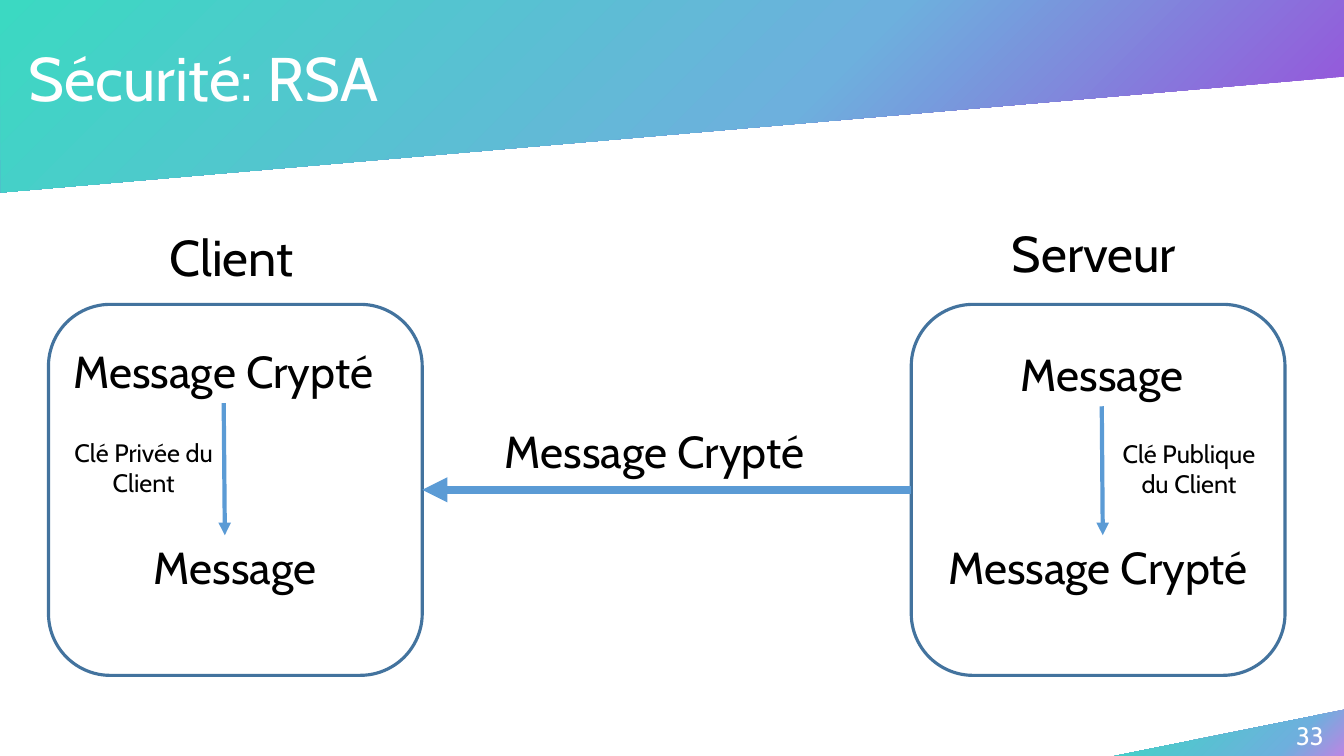
from lxml import etree
from pptx import Presentation
from pptx.dml.color import RGBColor
from pptx.enum.shapes import MSO_CONNECTOR, MSO_SHAPE
from pptx.enum.text import MSO_ANCHOR, MSO_AUTO_SIZE, PP_ALIGN
from pptx.oxml import parse_xml
from pptx.oxml.ns import qn
from pptx.util import Pt

LEFT, CENTER = PP_ALIGN.LEFT, PP_ALIGN.CENTER
MIDDLE = MSO_ANCHOR.MIDDLE
FIT = MSO_AUTO_SIZE.SHAPE_TO_FIT_TEXT
ROUNDED, STRAIGHT = MSO_SHAPE.ROUNDED_RECTANGLE, MSO_CONNECTOR.STRAIGHT
A_NS = "http://schemas.openxmlformats.org/drawingml/2006/main"

# Content: lengths in points
FONT = "Cabin"
BLACK, WHITE, OUTLINE, ARROW = "000000", "FFFFFF", "43739E", "5B9BD5"

BANDS = [  # outline points, gradient stops (percent, colour)
    ([(0, -0.7), (960.5, -0.7), (960, 54.7), (0.7, 137.5)],
     [(0, "3BD9C2"), (59, "6DB0DD"), (94, "9657DB")]),
    ([(796.3, 540), (960.5, 540), (960.5, 506.9)],
     [(0, "3BD9C2"), (75, "6DB0DD"), (100, "BD85E3")]),
]

TITLE = ("Sécurité: RSA", 13, 5.8, 828, 104.4)
PANEL_TOP, PANEL_W, PANEL_H = 217.4, 267, 265
CLIENT_X, SERVER_X = 34.6, 650.9

LABELS = [  # text, left, top, width, height, size, alignment, wrap
    ("Client", 113.8, 157.7, 108.7, 51, 36, LEFT, False),
    ("Serveur", 715.7, 154.8, 137.5, 51, 36, LEFT, False),
    ("Message Crypté", 18, 241.9, 283, 46, 32, CENTER, True),
    ("Message", 46, 382.3, 244, 46, 32, CENTER, True),
    ("Message", 665.3, 244.1, 244, 46, 32, CENTER, True),
    ("Message Crypté", SERVER_X, 382.3, PANEL_W, 46, 32, CENTER, True),
    ("Message Crypté", 353.5, 298.8, 244, 46, 32, LEFT, True),
    ("Clé Privée du Client", 40.3, 308.9, 124.6, 51, 18, CENTER, True),
    ("Clé Publique du Client", 787, 309.6, 124.6, 51, 18, CENTER, True),
]
PAGE_NUMBER = ("33", 918.7, 511.2, 38.2, 28.8)

KEY_ARROWS = [(159.8, 288, 160.6, 382.3), (787, 290.2, 787.7, 382.3)]


def rgb(value):
    return RGBColor.from_string(value)


def add_text(text, x, y, w, h, size, align=LEFT, wrap=True, color=BLACK):
    s = slide.shapes.add_textbox(Pt(x), Pt(y), Pt(w), Pt(h))
    tf = s.text_frame
    tf.word_wrap = wrap
    tf.auto_size = FIT
    p = tf.paragraphs[0]
    p.text = text
    p.alignment = align
    p.font.name = FONT
    p.font.size = Pt(size)
    p.font.color.rgb = rgb(color)
    return tf


def add_band(points, stops):
    (x0, y0), *rest = points
    builder = slide.shapes.build_freeform(Pt(x0), Pt(y0), scale=1.0)
    builder.add_line_segments([(Pt(x), Pt(y)) for x, y in rest], close=True)
    s = builder.convert_to_shape()
    s.shadow.inherit = False
    s.line.fill.background()
    s.fill.background()
    gs = "".join(f'<a:gs pos="{pos * 1000}"><a:srgbClr val="{c}"/></a:gs>'
                 for pos, c in stops)
    gradient = parse_xml(
        f'<a:gradFill xmlns:a="{A_NS}" rotWithShape="1"><a:gsLst>{gs}</a:gsLst>'
        '<a:path path="circle"><a:fillToRect r="100000" b="100000"/></a:path>'
        '</a:gradFill>')
    sp_pr = s._element.spPr
    sp_pr.replace(sp_pr.find(qn("a:noFill")), gradient)


def add_panel(x):
    s = slide.shapes.add_shape(ROUNDED, Pt(x), Pt(PANEL_TOP), Pt(PANEL_W), Pt(PANEL_H))
    s.shadow.inherit = False
    s.fill.background()
    s.line.color.rgb = rgb(OUTLINE)
    s.line.width = Pt(2.25)
    return s


def add_arrow(x1, y1, x2, y2, width):
    c = slide.shapes.add_connector(STRAIGHT, Pt(x1), Pt(y1), Pt(x2), Pt(y2))
    c.line.color.rgb = rgb(ARROW)
    c.line.width = Pt(width)
    etree.SubElement(c.line._get_or_add_ln(), qn("a:tailEnd"), type="triangle")
    etree.SubElement(c._element.spPr, qn("a:effectLst"))
    return c


prs = Presentation()
prs.slide_width, prs.slide_height = Pt(960), Pt(540)
slide = prs.slides.add_slide(prs.slide_layouts[6])

# Coloured bands and title
for points, stops in BANDS:
    add_band(points, stops)
title = add_text(*TITLE, 44, color=WHITE)
title.auto_size = MSO_AUTO_SIZE.NONE
title.vertical_anchor = MIDDLE
title.paragraphs[0].line_spacing = 0.9

# Client and server panels, joined by the message arrow
client, server = add_panel(CLIENT_X), add_panel(SERVER_X)
mid_y = PANEL_TOP + PANEL_H / 2
message = add_arrow(SERVER_X, mid_y, CLIENT_X + PANEL_W, mid_y, 6)
message.begin_connect(server, 1)
message.end_connect(client, 3)

# Key arrows and labels
for ends in KEY_ARROWS:
    add_arrow(*ends, 3)
for label in LABELS:
    add_text(*label)
add_text(*PAGE_NUMBER, 18, color=WHITE)

prs.save("out.pptx")
